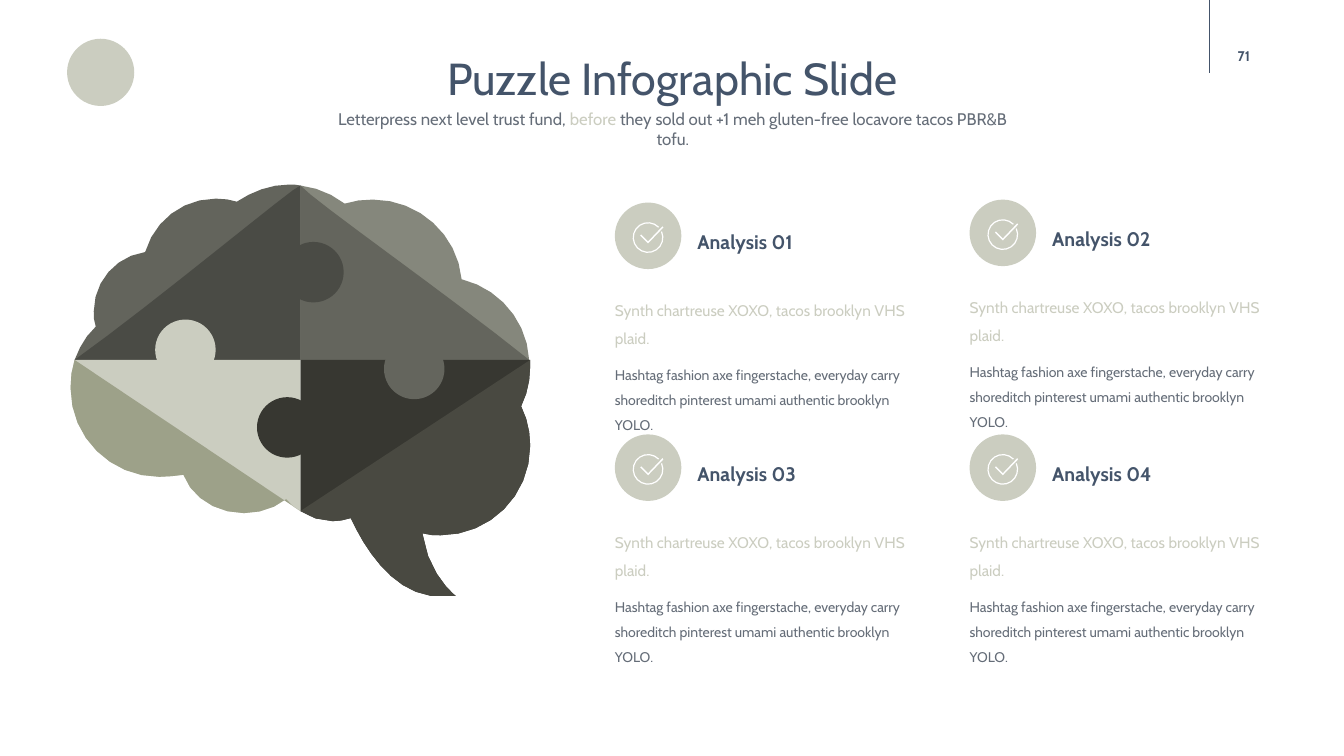
from dataclasses import dataclass
from math import cos, dist, radians, sin

from lxml.etree import SubElement
from pptx import Presentation
from pptx.dml.color import RGBColor
from pptx.enum.shapes import MSO_CONNECTOR as Connector, MSO_SHAPE as Shape
from pptx.enum.text import MSO_ANCHOR as Anchor, MSO_AUTO_SIZE as AutoSize, PP_ALIGN as Align
from pptx.oxml.ns import qn
from pptx.util import Pt


@dataclass(frozen=True)
class Theme:
    font: str = "Cabin"
    navy: str = "44546A"
    gray: str = "656D78"
    sage: str = "CBCDC0"
    white: str = "FFFFFF"
    olive: str = "9DA189"
    stone: str = "85877C"
    slate: str = "64655D"
    moss: str = "63645C"
    charcoal: str = "4A4B45"
    bark: str = "494941"
    coal: str = "373731"
    title: float = 32
    heading: float = 14
    subtitle: float = 12
    lead: float = 11
    body: float = 10


THEME = Theme()

# Brain outlines on a 456 x 408 grid: a pair is a line, six numbers are a Bézier curve
BRAIN_GRID_WIDTH = 456
HUB = (228, 174)
FOOT = (228, 324)
LOWER_RIGHT_EDGE = [
    (237, 330, 248, 334, 260, 334), (266, 334, 272, 333, 278, 331),
    (291, 359, 317, 402, 357, 408), (382, 408), (382, 408, 355, 388, 349, 346),
    (355, 348, 361, 348, 367, 348), (416, 348, 456, 309, 456, 259),
    (456, 245, 453, 232, 447, 220), (453, 208, 456, 195, 456, 180), (456, 174),
]
LOWER_LEFT_EDGE = [
    (4, 174), (1, 183, 0, 192, 0, 202), (0, 251, 40, 290, 88, 290),
    (96, 290, 104, 289, 112, 288), (120, 310, 144, 326, 172, 326),
    (188, 326, 203, 321, 214, 312), (218, 317, 222, 321, *FOOT),
]
BRAIN_PIECES = [
    (THEME.stone, [(455, 174), (453, 135, 425, 103, 388, 94), (384, 50, 346, 15, 300, 15),
                   (290, 15, 281, 16, 272, 19), (259, 9, 244, 3, 228, 1), HUB]),
    (THEME.slate, [(455, 174), (370, 106, 241, 16, 228, 1), HUB]),
    (THEME.moss, [(228, 1), (224, 0, 221, 0, 217, 0), (198, 0, 180, 7, 165, 17),
                  (159, 15, 152, 14, 144, 14), (111, 14, 83, 36, 74, 67),
                  (45, 71, 23, 96, 23, 126), (23, 131, 23, 136, 25, 141),
                  (15, 150, 9, 161, 4, 174), HUB]),
    (THEME.charcoal, [(228, 1), (224, 0, 84, 117, 4, 174), HUB]),
    (THEME.coal, [HUB, FOOT, *LOWER_RIGHT_EDGE]),
    (THEME.bark, [FOOT, *LOWER_RIGHT_EDGE]),
    (THEME.sage, [*LOWER_LEFT_EDGE, HUB]),
    (THEME.olive, LOWER_LEFT_EDGE),
]
KNOB_SIZE = 60
KNOBS = [(THEME.slate, 311, 153), (THEME.charcoal, 211, 57),
         (THEME.sage, 84, 134), (THEME.coal, 185, 211)]

CARD_WIDTH = 222.8
CARDS = [("Analysis 01", 439.2, 144.7), ("Analysis 02", 692.6, 142.6),
         ("Analysis 03", 439.2, 310.3), ("Analysis 04", 692.6, 310.3)]
CARD_LEAD = "Synth chartreuse XOXO, tacos brooklyn VHS plaid."
CARD_BODY = ("Hashtag fashion axe fingerstache, everyday carry shoreditch "
             "pinterest umami authentic brooklyn YOLO.")


def paint(shape, color):
    shape.shadow.inherit = False
    shape.fill.solid()
    shape.fill.fore_color.rgb = RGBColor.from_string(color)
    shape.line.fill.background()


def add_preset(slide, kind, left, top, size, color):
    shape = slide.shapes.add_shape(kind, Pt(left), Pt(top), Pt(size), Pt(size))
    paint(shape, color)
    return shape


def add_outline(slide, contours, color):
    """Draw closed contours, each a list of points, as one filled shape."""
    contours = [[(Pt(x), Pt(y)) for x, y in contour] for contour in contours]
    builder = slide.shapes.build_freeform(*contours[0][0])
    builder.add_line_segments(contours[0][1:], close=True)
    for contour in contours[1:]:
        builder.move_to(*contour[0])
        builder.add_line_segments(contour[1:], close=True)
    paint(builder.convert_to_shape(), color)


def flatten(segments, stride=14, most_steps=8):
    """Turn lines and Bézier curves into points, with more on longer curves."""
    points = []
    for segment in segments:
        if len(segment) == 2:
            points.append(segment)
            continue
        controls = [points[-1], segment[:2], segment[2:4], segment[4:]]
        steps = min(most_steps, max(2, round(dist(controls[0], controls[3]) / stride)))
        for step in range(1, steps + 1):
            t = step / steps
            weights = [(1 - t) ** 3, 3 * t * (1 - t) ** 2, 3 * t * t * (1 - t), t ** 3]
            points.append(tuple(sum(w * c[axis] for w, c in zip(weights, controls))
                                for axis in (0, 1)))
    return points


def set_frame(shape, anchor=Anchor.TOP, inset=None):
    frame = shape.text_frame
    frame.word_wrap = True
    frame.auto_size = AutoSize.NONE
    frame.vertical_anchor = anchor
    if inset is not None:
        frame.margin_left = frame.margin_top = frame.margin_right = frame.margin_bottom = Pt(inset)
    return frame


def add_frame(slide, left, top, width, height, **options):
    return set_frame(slide.shapes.add_textbox(Pt(left), Pt(top), Pt(width), Pt(height)), **options)


def write(paragraph, text, *, size, color, bold=False, align=Align.LEFT, spacing=1.0, before=0):
    paragraph.alignment = align
    paragraph.line_spacing = spacing
    paragraph.space_before = Pt(before)
    run = paragraph.add_run()
    run.text = text
    run.font.name = THEME.font
    run.font.size = Pt(size)
    run.font.bold = bold
    run.font.color.rgb = RGBColor.from_string(color)


def add_header(slide, left, top, width):
    # Title
    title = slide.shapes.title
    title.left, title.top, title.width, title.height = Pt(left), Pt(top), Pt(width), Pt(46)
    write(set_frame(title, inset=3.6).paragraphs[0], "Puzzle Infographic Slide",
          size=THEME.title, color=THEME.navy, align=Align.CENTER)

    # Subtitle with one highlighted word
    subtitle = add_frame(slide, left + 47.5, top + 41.8, width - 94.3, 21.6).paragraphs[0]
    for text, color in [("Letterpress next level trust fund, ", THEME.gray),
                        ("before", THEME.sage),
                        (" they sold out +1 meh gluten-free locavore tacos PBR&B tofu.", THEME.gray)]:
        write(subtitle, text, size=THEME.subtitle, color=color, align=Align.CENTER)


def add_page_number(slide, left, height):
    line = slide.shapes.add_connector(Connector.STRAIGHT, Pt(left), Pt(0), Pt(left), Pt(height))
    line.line.color.rgb = RGBColor.from_string(THEME.navy)
    line.line.width = Pt(1)
    SubElement(line.element.spPr, qn("a:effectLst"))
    frame = add_frame(slide, left - 4.3, 25.9, 57.6, 28.8, anchor=Anchor.MIDDLE, inset=0)
    write(frame.paragraphs[0], "71", size=THEME.body, color=THEME.navy,
          bold=True, align=Align.CENTER)


def add_brain(slide, left, top, width):
    scale = width / BRAIN_GRID_WIDTH
    for color, segments in BRAIN_PIECES:
        contour = [(left + x * scale, top + y * scale) for x, y in flatten(segments)]
        add_outline(slide, [contour], color)
    for color, x, y in KNOBS:
        add_preset(slide, Shape.OVAL, left + x * scale, top + y * scale, KNOB_SIZE * scale, color)


def add_check(slide, center_x, center_y, radius):
    """Draw an open ring with a tick reaching through its gap."""
    arc = [radians(angle) for angle in range(-24, 317, 20)]
    inner = radius * 0.92
    ring = [(radius * cos(a), radius * sin(a)) for a in arc]
    ring += [(inner * cos(a), inner * sin(a)) for a in reversed(arc)]
    tick = [(-5.6, -1.4), (-4.9, -2.2), (0, 2.8), (10.3, -8), (11, -7.2), (0, 4.2)]
    add_outline(slide, [[(center_x + x, center_y + y) for x, y in contour]
                        for contour in (ring, tick)], THEME.white)


def add_card(slide, heading, left, top, width):
    badge = add_preset(slide, Shape.ROUNDED_RECTANGLE, left, top, 47.5, THEME.sage)
    badge.adjustments[0] = 0.5
    add_check(slide, left + 23.7, top + 25, 11)

    frame = add_frame(slide, left + 59, top + 15.1, 139, 20.2, anchor=Anchor.MIDDLE, inset=0)
    write(frame.paragraphs[0], heading, size=THEME.heading, color=THEME.navy,
          bold=True, spacing=1.3)

    frame = add_frame(slide, left, top + 63.8, width, 62.6, inset=0)
    write(frame.paragraphs[0], CARD_LEAD, size=THEME.lead, color=THEME.sage, spacing=1.5)
    write(frame.add_paragraph(), CARD_BODY, size=THEME.body, color=THEME.gray,
          spacing=1.5, before=7.5)


def main():
    presentation = Presentation()
    presentation.slide_width, presentation.slide_height = Pt(960), Pt(540)
    slide = presentation.slides.add_slide(presentation.slide_layouts.get_by_name("Title Only"))

    # Emblem and page furniture
    add_preset(slide, Shape.OVAL, 47.9, 27.7, 48, THEME.sage)
    add_page_number(slide, 864, 52.5)
    add_header(slide, 182.9, 32.4, 594.7)

    # Puzzle and its four explanations
    add_brain(slide, 50.4, 131.8, 328.3)
    for heading, left, top in CARDS:
        add_card(slide, heading, left, top, CARD_WIDTH)

    presentation.save("out.pptx")


if __name__ == "__main__":
    main()
